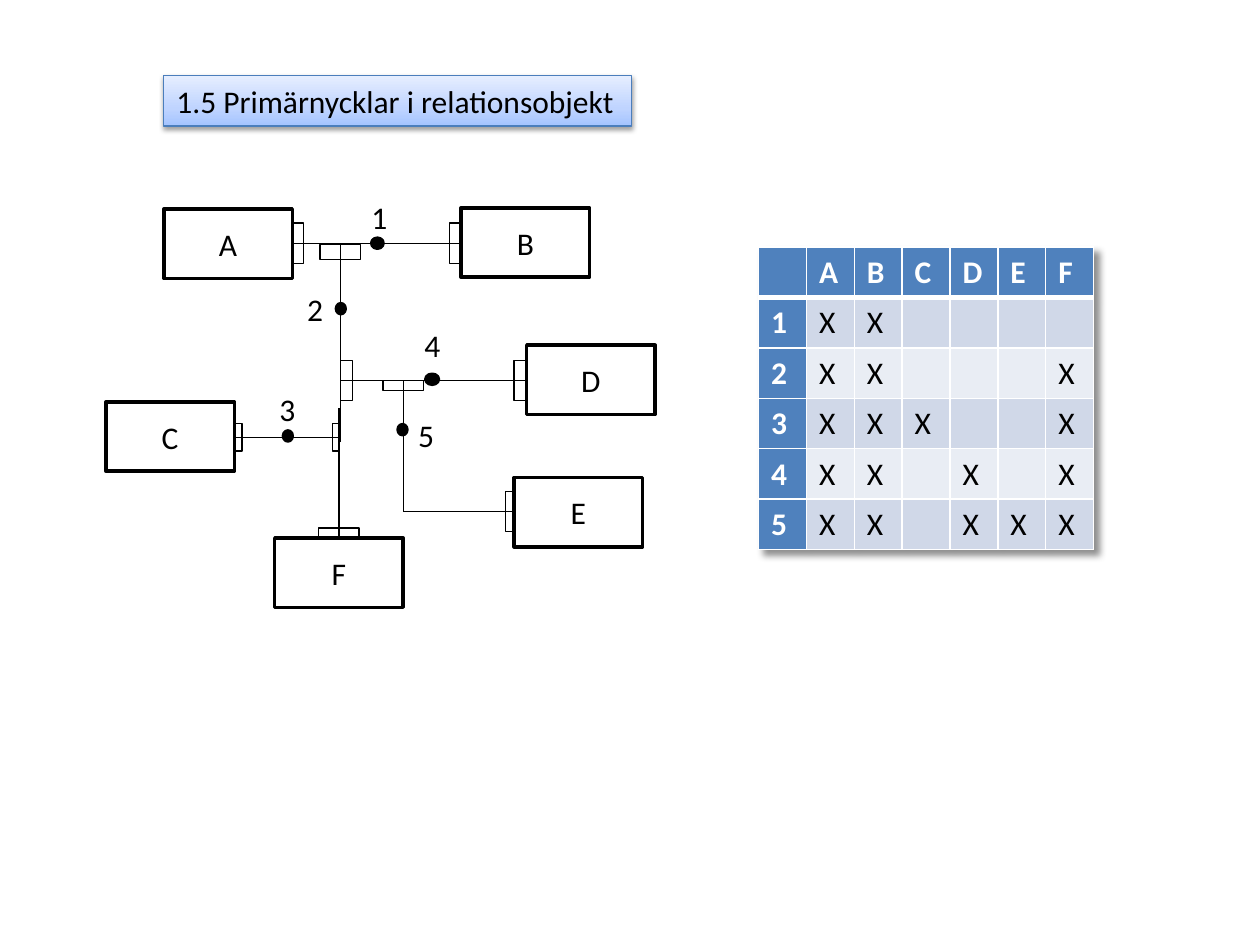
"""Build a slide on primary keys in relation objects."""
import pptx
import pptx.util
import pptx.dml.color
import pptx.enum.shapes
import pptx.enum.text
import pptx.oxml
import pptx.oxml.ns
from pptx.util import Inches

COLORS = {
    "ink": "000000", "paper": "FFFFFF", "header": "4F81BD",
    "band_dark": "D0D8E8", "band_light": "E9EDF4", "title_line": "4B7EBC",
}
TITLE_GRADIENT = [(0, "A4C4FF"), (35, "BFD4FF"), (100, "E6EEFF")]
ENTITIES = {
    "A": (1.3, 1.66), "B": (3.66, 1.65), "C": (0.84, 3.19),
    "D": (4.18, 2.74), "E": (4.08, 3.79), "F": (2.18, 4.27),
}
LINKS = [
    (2.32, 1.93, 3.66, 1.93), (2.7, 3.51, 2.7, 1.93), (2.69, 3.24, 2.69, 4.26),
    (3.2, 4.06, 3.2, 3.02), (1.87, 3.47, 2.7, 3.47), (2.7, 3.02, 4.17, 3.02),
    (3.2, 4.06, 4.08, 4.06),
]
LINK_ENDS = [
    (3.57, 1.77, 0.09, 0.32), (2.32, 1.77, 0.09, 0.32), (2.54, 1.94, 0.32, 0.12),
    (2.53, 4.19, 0.32, 0.08), (3.04, 3.02, 0.32, 0.08), (2.64, 3.36, 0.05, 0.22),
    (1.87, 3.36, 0.05, 0.22), (4.08, 2.86, 0.1, 0.32), (2.7, 2.86, 0.1, 0.32),
    (4.01, 3.9, 0.07, 0.32),
]
DOTS = [
    (2.95, 1.89, 0.09), (2.67, 2.41, 0.07), (2.25, 3.42, 0.07),
    (3.38, 2.97, 0.1), (3.16, 3.37, 0.07),
]
NUMBERS = {
    "1": (2.85, 1.52), "2": (2.34, 2.25), "3": (2.12, 3.05),
    "4": (3.27, 2.54), "5": (3.22, 3.25),
}
KEYS = {"1": "AB", "2": "ABF", "3": "ABCF", "4": "ABDF", "5": "ABDEF"}


def rgb(name):
    return pptx.dml.color.RGBColor.from_string(COLORS[name])


def parse_drawing(tag, attributes, content):
    namespace = pptx.oxml.ns.nsdecls("a")
    return pptx.oxml.parse_xml(f"<a:{tag} {namespace} {attributes}>{content}</a:{tag}>")


def make_shadow(blur, distance, angle, opacity):
    points = pptx.util.Pt
    return parse_drawing(
        "effectLst", "",
        f'<a:outerShdw blurRad="{points(blur)}" dist="{points(distance)}" '
        f'dir="{angle * 60000}" rotWithShape="0"><a:srgbClr val="{COLORS["ink"]}">'
        f'<a:alpha val="{opacity * 1000}"/></a:srgbClr></a:outerShdw>')


def style_text(paragraph, color="ink", bold=False):
    paragraph.font.name = "Calibri"
    paragraph.font.size = pptx.util.Pt(18)
    paragraph.font.bold = bold
    paragraph.font.color.rgb = rgb(color)


def style_line(line, width, color="ink"):
    line.color.rgb = rgb(color)
    line.width = pptx.util.Pt(width)


def format_title(slide, text):
    title = slide.shapes.title
    title.left, title.top, title.width, title.height = map(Inches, (1.3, 0.6, 3.71, 0.4))
    frame = title.text_frame
    frame.text = text
    frame.word_wrap = False
    frame.auto_size = pptx.enum.text.MSO_AUTO_SIZE.NONE
    frame.vertical_anchor = pptx.enum.text.MSO_ANCHOR.TOP
    frame.paragraphs[0].alignment = pptx.enum.text.PP_ALIGN.LEFT
    style_text(frame.paragraphs[0])
    stops = "".join(
        f'<a:gs pos="{position * 1000}"><a:srgbClr val="{color}"/></a:gs>'
        for position, color in TITLE_GRADIENT)
    title.fill.gradient()
    title.fill.gradient_angle = 90
    properties = title.element.spPr
    stop_list = properties.find(".//" + pptx.oxml.ns.qn("a:gsLst"))
    stop_list.getparent().replace(stop_list, parse_drawing("gsLst", "", stops))
    style_line(title.line, 0.75, "title_line")
    properties.append(make_shadow(3.1, 1.6, 90, 38))


def add_outline(slide, kind, box, width):
    shape = slide.shapes.add_shape(kind, *map(Inches, box))
    shape.shadow.inherit = False
    shape.fill.background()
    style_line(shape.line, width)
    return shape


def add_entity(slide, name, left, top):
    rectangle = pptx.enum.shapes.MSO_SHAPE.RECTANGLE
    shape = add_outline(slide, rectangle, (left, top, 1.02, 0.55), 2)
    frame = shape.text_frame
    frame.text = name
    frame.vertical_anchor = pptx.enum.text.MSO_ANCHOR.MIDDLE
    frame.paragraphs[0].alignment = pptx.enum.text.PP_ALIGN.CENTER
    style_text(frame.paragraphs[0])


def add_dot(slide, left, top, width):
    oval = pptx.enum.shapes.MSO_SHAPE.OVAL
    dot = add_outline(slide, oval, (left, top, width, 0.08), 2)
    dot.fill.solid()
    dot.fill.fore_color.rgb = rgb("ink")


def add_link(slide, ends):
    straight = pptx.enum.shapes.MSO_CONNECTOR.STRAIGHT
    link = slide.shapes.add_connector(straight, *map(Inches, ends))
    style_line(link.line, 0.75)
    link.element.spPr.append(parse_drawing("effectLst", "", ""))


def add_number(slide, text, left, top):
    box = slide.shapes.add_textbox(*map(Inches, (left, top, 0.33, 0.4)))
    box.text_frame.text = text
    box.text_frame.word_wrap = False
    box.text_frame.auto_size = pptx.enum.text.MSO_AUTO_SIZE.SHAPE_TO_FIT_TEXT
    style_text(box.text_frame.paragraphs[0])


def format_cell(cell, text, fill, is_heading, bottom_width):
    cell.text = text
    style_text(cell.text_frame.paragraphs[0], "paper" if is_heading else "ink", is_heading)
    properties = cell._tc.get_or_add_tcPr()
    for side, width in (("L", 1), ("R", 1), ("T", 1), ("B", bottom_width)):
        properties.append(parse_drawing(
            f"ln{side}", f'w="{pptx.util.Pt(width)}"',
            f'<a:solidFill><a:srgbClr val="{COLORS["paper"]}"/></a:solidFill>'))
    cell.fill.solid()
    cell.fill.fore_color.rgb = rgb(fill)


def add_key_table(slide):
    rows = [["", *ENTITIES]]
    for number, keys in KEYS.items():
        rows.append([number, *("X" if name in keys else "" for name in ENTITIES)])
    frame = slide.shapes.add_table(
        len(rows), len(rows[0]), *map(Inches, (6.02, 1.96, 2.66, 2.4)))
    table = frame.table
    table.first_col = True
    for column in table.columns:
        column.width = Inches(0.38)
    for row_index, row in enumerate(rows):
        band = "band_dark" if row_index % 2 else "band_light"
        for column_index, text in enumerate(row):
            is_heading = row_index == 0 or column_index == 0
            format_cell(table.cell(row_index, column_index), text,
                        "header" if is_heading else band, is_heading,
                        1 if row_index else 3)
    table._tbl.tblPr.insert(0, make_shadow(4, 4, 45, 43))


def main():
    presentation = pptx.Presentation()
    presentation.slide_width = Inches(10)
    presentation.slide_height = Inches(7.5)
    slide = presentation.slides.add_slide(presentation.slide_layouts[5])
    format_title(slide, "1.5 Primärnycklar i relationsobjekt")
    for name, position in ENTITIES.items():
        add_entity(slide, name, *position)
    for ends in LINKS:
        add_link(slide, ends)
    for box in LINK_ENDS:
        add_outline(slide, pptx.enum.shapes.MSO_SHAPE.RECTANGLE, box, 0.75)
    for dot in DOTS:
        add_dot(slide, *dot)
    for number, position in NUMBERS.items():
        add_number(slide, number, *position)
    add_key_table(slide)
    presentation.save("out.pptx")


if __name__ == "__main__":
    main()
